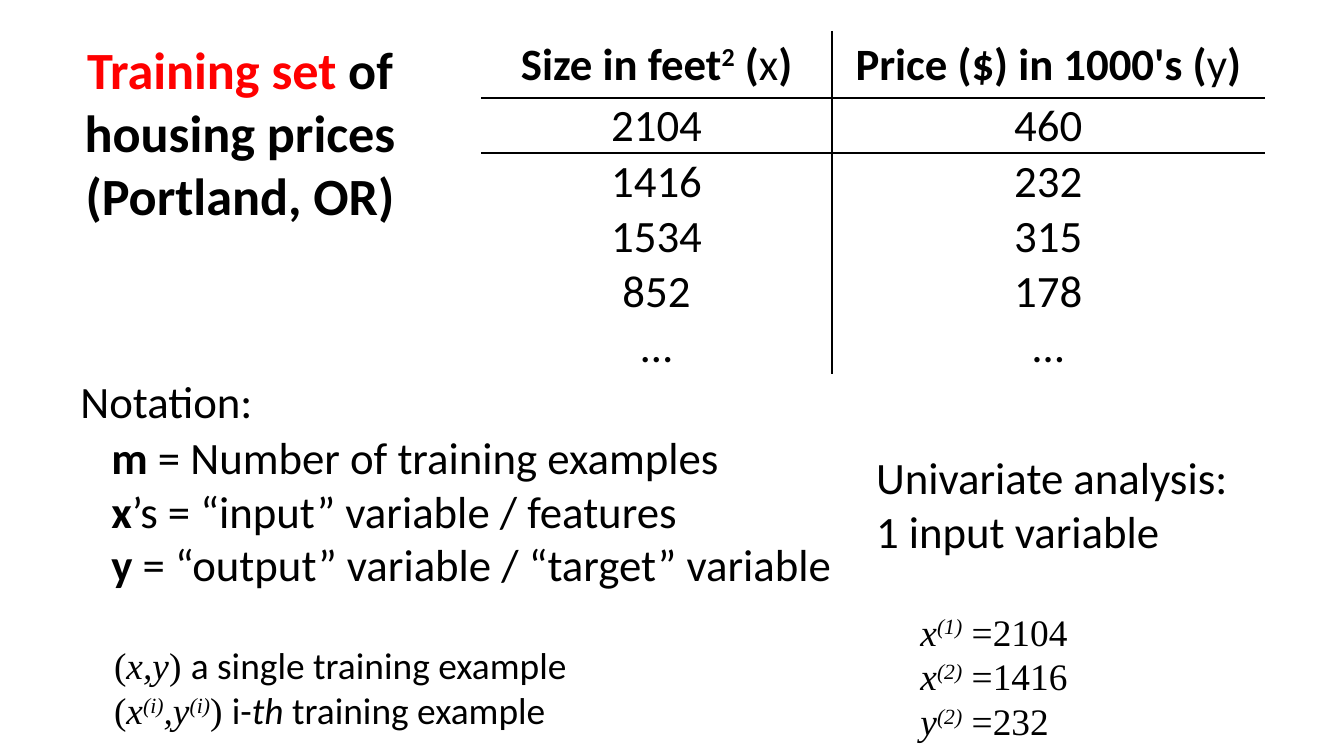
from dataclasses import dataclass

from lxml.etree import SubElement
from pptx import Presentation
from pptx.dml.color import RGBColor
from pptx.enum.text import MSO_ANCHOR, MSO_AUTO_SIZE, PP_ALIGN
from pptx.oxml.ns import qn
from pptx.util import Inches, Pt


@dataclass(frozen=True)
class Theme:
    ink: str = "000000"
    red: str = "FF0000"
    sans: str = "Calibri"
    serif: str = "Times New Roman"
    head: int = 28
    body: int = 24
    note: int = 20
    rule: int = 1


THEME = Theme()
HEAD = [
    [("Training set ", "br"), ("of", "b")],
    [("housing prices", "b")],
    [("(Portland, OR)", "b")],
]
COLS = [
    [("Size in feet", "b"), ("2", "b^"), (" (", "b"), ("x", ""), (")", "b")],
    [("Price ($) in 1000's (", "b"), ("y", ""), (")", "b")],
]
HOMES = [("2104", "460"), ("1416", "232"), ("1534", "315"), ("852", "178"), ("…", "…")]
TERMS = [
    [("Notation:", "")],
    [("m", "b"), (" = Number of training examples", "")],
    [("x", "b"), ("’s = “input” variable / features", "")],
    [("y", "b"), (" = “output” variable / “target” variable", "")],
]
PAIRS = [
    [("(", "s"), ("x,y", "si"), (") ", "s"), ("a single training example", "")],
    [("(", "s"), ("x", "si"), ("(i)", "si^"), (",y", "si"), ("(i)", "si^"),
     (") ", "s"), ("i-", ""), ("th", "i"), (" training example", "")],
]
VALUES = [
    [(name, "si"), (f"({row})", "si^"), (f" ={value}", "s")]
    for name, row, value in [("x", 1, 2104), ("x", 2, 1416), ("y", 2, 232)]
]


def write(frame, lines, size, align=PP_ALIGN.LEFT):
    for num, line in enumerate(lines):
        para = frame.add_paragraph() if num else frame.paragraphs[0]
        para.alignment = align
        for text, style in line:
            run = para.add_run()
            run.text = text
            font = run.font
            font.size = Pt(size)
            font.name = THEME.serif if "s" in style else THEME.sans
            font.bold = "b" in style
            font.italic = "i" in style
            font.color.rgb = RGBColor.from_string(THEME.red if "r" in style else THEME.ink)
            if "^" in style:
                run._r.get_or_add_rPr().set("baseline", "30000")


def fit(frame, wrap):
    frame.word_wrap = wrap
    frame.auto_size = MSO_AUTO_SIZE.SHAPE_TO_FIT_TEXT
    frame.vertical_anchor = MSO_ANCHOR.TOP


def add_head(slide, box):
    title = slide.shapes.title
    title.left, title.top, title.width, title.height = map(Inches, box)
    fit(title.text_frame, False)
    write(title.text_frame, HEAD, THEME.head, PP_ALIGN.CENTER)


def add_note(slide, box, lines, size, wrap=True):
    frame = slide.shapes.add_textbox(*map(Inches, box)).text_frame
    fit(frame, wrap)
    write(frame, lines, size)
    return frame


def add_terms(slide, box):
    frame = add_note(slide, box, TERMS, THEME.body, False)
    for para in frame.paragraphs[1:]:
        para._p.get_or_add_pPr().set("marL", str(Inches(0.23)))
    frame.paragraphs[1].space_before = Pt(1.2)


def rule(cell, sides):
    props = cell._tc.get_or_add_tcPr()
    for side in "LRTB":
        line = SubElement(props, qn(f"a:ln{side}"), w=str(Pt(THEME.rule)))
        if side in sides:
            fill = SubElement(line, qn("a:solidFill"))
            SubElement(fill, qn("a:srgbClr"), val=THEME.ink)
        else:
            SubElement(line, qn("a:noFill"))


def add_data(slide, box):
    rows = [COLS] + [[[(text, "")] for text in home] for home in HOMES]
    table = slide.shapes.add_table(len(rows), 2, *map(Inches, box)).table
    table.first_row = table.horz_banding = False
    first, top = 2.61, 0.5
    for col, width in zip(table.columns, (first, box[2] - first)):
        col.width = Inches(width)
    step = (box[3] - top) / len(HOMES)
    for row, line in enumerate(rows):
        table.rows[row].height = Inches(step if row else top)
        above = "T" if row in (1, 2) else ""
        below = "B" if row in (0, 1) else ""
        for col, runs in enumerate(line):
            cell = table.cell(row, col)
            cell.margin_left = cell.margin_right = cell.margin_top = Inches(0.01)
            cell.margin_bottom = 0
            cell.vertical_anchor = MSO_ANCHOR.BOTTOM if row else MSO_ANCHOR.MIDDLE
            rule(cell, "RL"[col] + above + below)
            cell.fill.background()
            write(cell.text_frame, [runs], THEME.body, PP_ALIGN.CENTER)


def main():
    deck = Presentation()
    deck.slide_width = Inches(10)
    deck.slide_height = deck.slide_width * 9 // 16
    slide = deck.slides.add_slide(deck.slide_layouts[5])
    add_terms(slide, (0.5, 2.73, 5.92, 1.73))
    add_data(slide, (3.58, 0.23, 5.83, 2.54))
    add_head(slide, (0.5, 0.23, 2.57, 1.51))
    aside = [[("Univariate analysis: 1 input variable", "")]]
    add_note(slide, (6.42, 3.3, 2.83, 0.91), aside, THEME.body)
    add_note(slide, (0.75, 4.73, 6.75, 0.77), PAIRS, THEME.note)
    add_note(slide, (6.75, 4.48, 2.25, 1.11), VALUES, THEME.note)
    deck.save("out.pptx")


if __name__ == "__main__":
    main()
